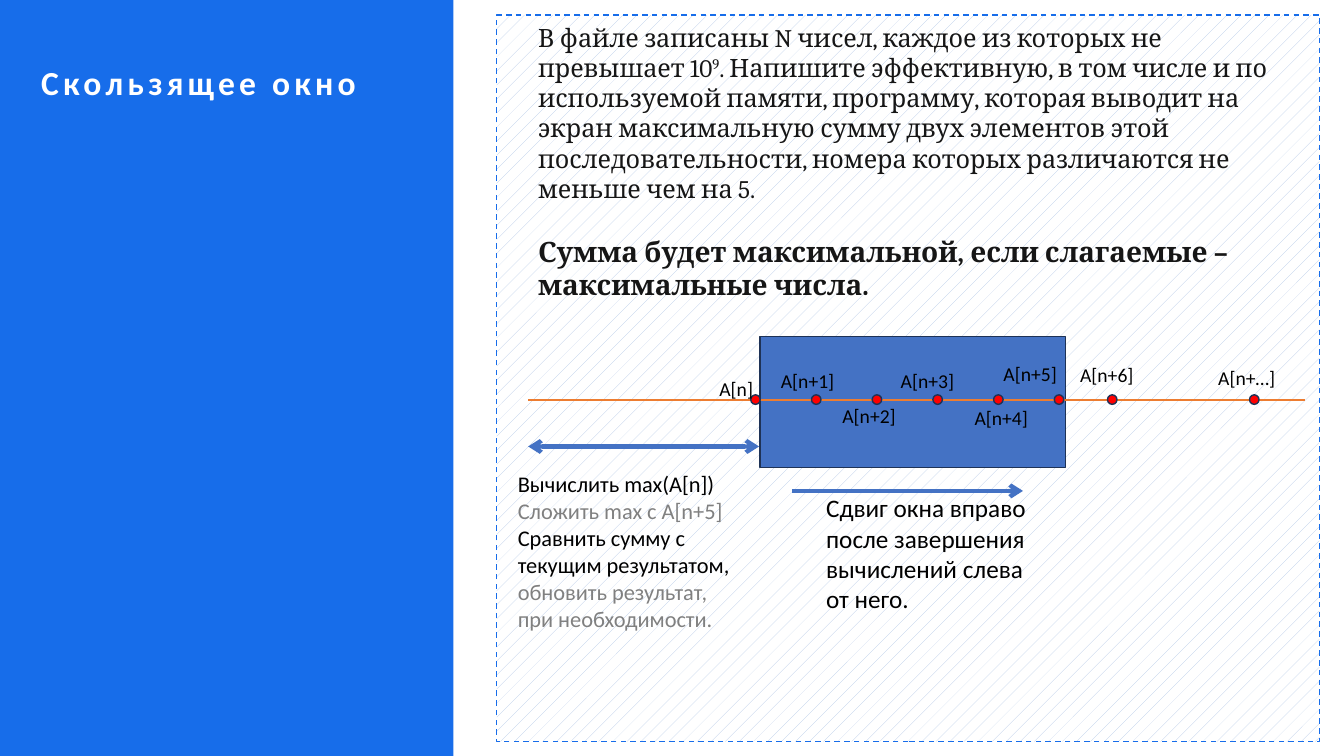
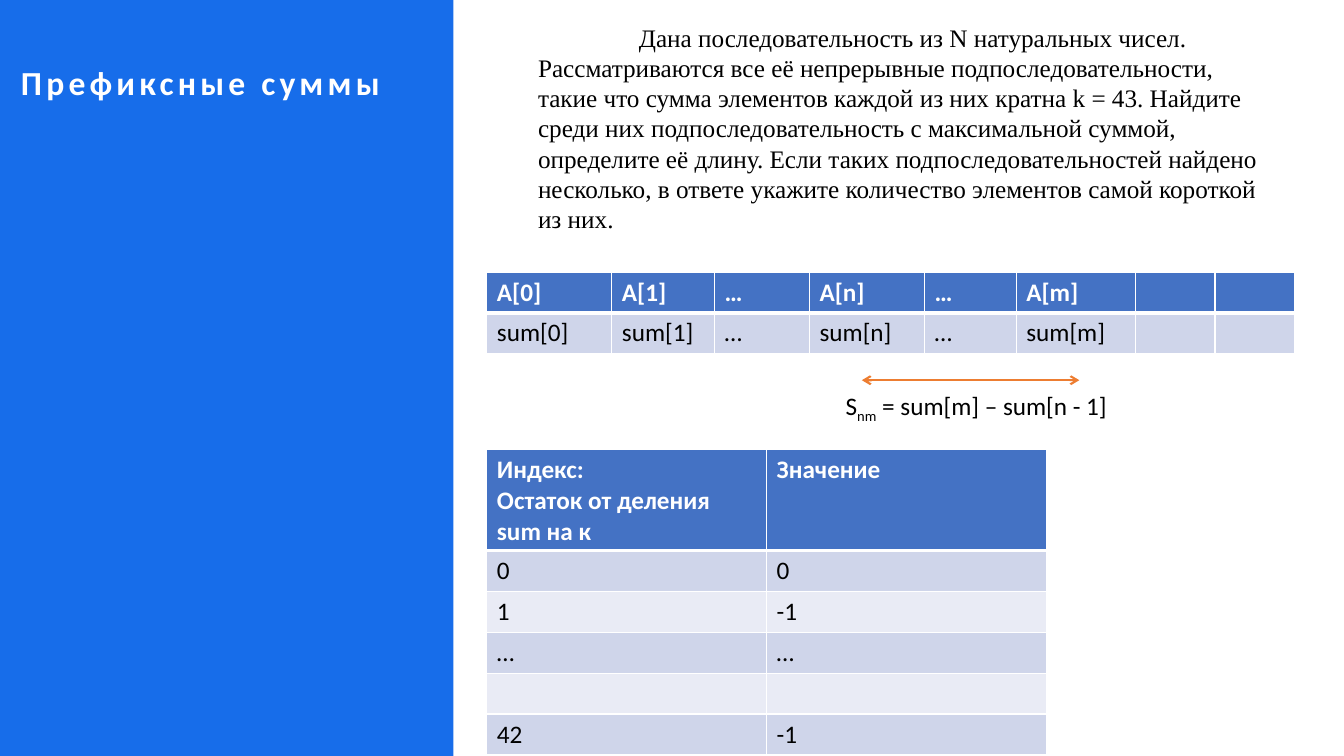
"""Build two slides on the sliding window and on prefix sums."""
from lxml.etree import SubElement
from pptx import Presentation
from pptx.dml.color import RGBColor
from pptx.enum.dml import MSO_LINE, MSO_PATTERN
from pptx.enum.shapes import MSO_CONNECTOR, MSO_SHAPE
from pptx.oxml.ns import qn
from pptx.util import Cm, Pt

BAND = RGBColor(0x17, 0x6D, 0xEA)
BLUE = RGBColor(0x44, 0x72, 0xC4)
EDGE = RGBColor(0x1E, 0x32, 0x56)
ORANGE = RGBColor(0xED, 0x7D, 0x31)
RED = RGBColor(0xFF, 0x00, 0x00)
HATCH = RGBColor(0xB4, 0xC7, 0xE7)
WHITE = RGBColor(0xFF, 0xFF, 0xFF)
BLACK = RGBColor(0x00, 0x00, 0x00)
INK = RGBColor(0x16, 0x16, 0x16)
GREY = RGBColor(0x80, 0x80, 0x80)
DARK_ROW = RGBColor(0xCF, 0xD5, 0xEA)
LIGHT_ROW = RGBColor(0xE9, 0xEB, 0xF5)
SANS, SERIF, TIMES = "Calibri", "Cambria", "Times New Roman"


def add_block(page, kind, place, fill, edge=None):
    """Add a filled shape without shadow, outlined if an edge colour is given."""
    block = page.shapes.add_shape(kind, *map(Cm, place))
    block.shadow.inherit = False
    block.fill.solid()
    block.fill.fore_color.rgb = fill
    if edge is None:
        block.line.fill.background()
    else:
        block.line.color.rgb = edge
        block.line.width = Pt(1)
    return block


def write(frame, paragraphs, size, font=SANS, colour=BLACK, bold=False):
    """Fill a text frame; each span is a text with its own settings."""
    frame.word_wrap = True
    for index, spans in enumerate(paragraphs):
        para = frame.paragraphs[0] if index == 0 else frame.add_paragraph()
        for text, own in spans:
            span = para.add_run()
            span.text = text
            span.font.name = font
            span.font.size = Pt(own.get("size", size))
            span.font.bold = own.get("bold", bold)
            span.font.color.rgb = own.get("colour", colour)
            if "baseline" in own:
                span.font._element.set("baseline", str(own["baseline"] * 1000))


deck = Presentation()
deck.slide_width, deck.slide_height = Cm(33.87), Cm(19.05)

pages = []
for title, left in (("Скользящее окно", 1.04), ("Префиксные суммы", 0.53)):
    page = deck.slides.add_slide(deck.slide_layouts[6])
    add_block(page, MSO_SHAPE.RECTANGLE, (0, 0, 11.43, 19.05), BAND)
    frame = page.shapes.add_textbox(Cm(left), Cm(1.57), Cm(10.39), Cm(1.02)).text_frame
    frame.margin_left = frame.margin_right = frame.margin_top = frame.margin_bottom = 0
    write(frame, [[(title, {})]], 24, colour=WHITE, bold=True)
    frame.paragraphs[0].runs[0].font._element.set("spc", "300")
    pages.append(page)
window_page, sums_page = pages

panel = add_block(window_page, MSO_SHAPE.RECTANGLE, (12.52, 0.38, 20.73, 18.31), WHITE, BAND)
panel.fill.patterned()
panel.fill.pattern = MSO_PATTERN.PERCENT_5
panel.fill.fore_color.rgb = HATCH
panel.fill.back_color.rgb = WHITE
panel.line.dash_style = MSO_LINE.DASH
add_block(window_page, MSO_SHAPE.RECTANGLE, (19.15, 8.48, 7.7, 3.3), BLUE, EDGE)

AXIS_Y, DOT = 10.07, 0.24
for page, start, end, y, colour, width, ends in (
    (window_page, 13.31, 32.89, AXIS_Y, ORANGE, 1.5, ()),
    (window_page, 13.31, 19.13, 11.25, BLUE, 3, ("headEnd", "tailEnd")),
    (window_page, 19.96, 25.78, 12.37, BLUE, 3, ("tailEnd",)),
    (sums_page, 21.72, 27.2, 9.58, ORANGE, 1.5, ("headEnd", "tailEnd")),
):
    line = page.shapes.add_connector(MSO_CONNECTOR.STRAIGHT, Cm(start), Cm(y), Cm(end), Cm(y))
    line.line.color.rgb = colour
    line.line.width = Pt(width)
    for name in ends:
        SubElement(line.line._get_or_add_ln(), qn(f"a:{name}"), type="arrow")
    SubElement(line._element.spPr, qn("a:effectLst"))

for centre in [19.04 + 1.53 * step for step in range(6)] + [28.03, 31.61]:
    add_block(window_page, MSO_SHAPE.OVAL,
              (centre - DOT / 2, AXIS_Y - DOT / 2, DOT, DOT), RED, EDGE)

for label, left, top, width in (
    ("A[n]", 17.88, 9.37, 1.52), ("A[n+1]", 19.43, 9.17, 2.01),
    ("A[n+2]", 20.98, 10.06, 2.21), ("A[n+3]", 22.45, 9.17, 2.06),
    ("A[n+4]", 24.31, 10.11, 2.16), ("A[n+5]", 25.04, 8.99, 2.16),
    ("A[n+6]", 26.97, 9.02, 2.31), ("A[n+…]", 30.45, 9.09, 2.08),
):
    box = window_page.shapes.add_textbox(Cm(left), Cm(top), Cm(width), Cm(0.86))
    write(box.text_frame, [[(label, {})]], 14)

window_task = [
    [("В файле записаны N чисел, каждое из которых не превышает 10", {}),
     ("9", {"baseline": 30}),
     (". Напишите эффективную, в том числе и по используемой памяти, программу, "
      "которая выводит на экран максимальную сумму двух элементов этой "
      "последовательности, номера которых различаются не меньше чем на 5.", {})],
    [("Сумма будет максимальной, если слагаемые – максимальные числа.",
      {"size": 20, "bold": True})],
]
steps = [
    [("Вычислить max(A[n])", {})],
    [("Сложить max с A[n+5]", {"colour": GREY})],
    [("Сравнить сумму с текущим результатом, ", {}),
     ("обновить результат, при необходимости.", {"colour": GREY})],
]
shift = [[("Сдвиг окна вправо после завершения вычислений слева от него.", {})]]
sums_task = [[(
    "Дана последовательность из N натуральных чисел. Рассматриваются все её непрерывные "
    "подпоследовательности, такие что сумма элементов каждой из них кратна k = 43. "
    "Найдите среди них подпоследовательность с максимальной суммой, определите её длину. "
    "Если таких подпоследовательностей найдено несколько, в ответе укажите количество "
    "элементов самой короткой из них.", {})]]
formula = [[("S", {}), ("nm", {"baseline": -25}), (" = sum[m] – sum[n - 1]", {})]]

frames = []
for page, place, paragraphs, size, font, colour in (
    (window_page, (13.31, 0.43, 19.08, 6.58), window_task, 18, SERIF, INK),
    (window_page, (12.8, 11.73, 6.2, 5.74), steps, 16, SANS, BLACK),
    (window_page, (20.57, 12.29, 6.02, 4.11), shift, 18, SANS, BLACK),
    (sums_page, (13.31, 0.43, 19.08, 5.64), sums_task, 18, TIMES, BLACK),
    (sums_page, (21.06, 9.7, 8.59, 1.02), formula, 18, SANS, BLACK),
):
    frame = page.shapes.add_textbox(*map(Cm, place)).text_frame
    write(frame, paragraphs, size, font, colour)
    frames.append(frame)
frames[0].paragraphs[1].space_before = Pt(22)
frames[3].paragraphs[0]._p.get_or_add_pPr().set("indent", str(Cm(2.54)))

prefix_rows = [
    ["A[0]", "A[1]", "…", "A[n]", "…", "A[m]", "", ""],
    ["sum[0]", "sum[1]", "…", "sum[n]", "…", "sum[m]", "", ""],
]
remainder_rows = [
    ["Индекс:\nОстаток от деления sum на к", "Значение"],
    ["0", "0"], ["1", "-1"], ["…", "…"], ["", ""], ["42", "-1"],
]
for top, widths, heights, rows in (
    (6.86, [3.15, 2.59, 2.39, 2.9, 2.31, 3, 2.01, 2.01], [1.02] * 2, prefix_rows),
    (11.33, [7.05] * 2, [2.5] + [1.03] * 5, remainder_rows),
):
    table = sums_page.shapes.add_table(
        len(rows), len(widths), Cm(12.27), Cm(top), Cm(sum(widths)), Cm(sum(heights))).table
    for column, width in zip(table.columns, widths):
        column.width = Cm(width)
    for r, (row, height) in enumerate(zip(rows, heights)):
        table.rows[r].height = Cm(height)
        header = r == 0
        for c, text in enumerate(row):
            cell = table.cell(r, c)
            for side in "LRTB":
                thick = (header and side == "B") or (r == 1 and side == "T")
                border = SubElement(cell._tc.get_or_add_tcPr(), qn(f"a:ln{side}"),
                                    w=str(Pt(3 if thick else 1)))
                SubElement(SubElement(border, qn("a:solidFill")), qn("a:srgbClr"), val=str(WHITE))
            cell.fill.solid()
            cell.fill.fore_color.rgb = BLUE if header else DARK_ROW if r % 2 else LIGHT_ROW
            if text:
                write(cell.text_frame, [[(part, {})] for part in text.split("\n")],
                      18, colour=WHITE if header else BLACK, bold=header)

deck.save("out.pptx")
